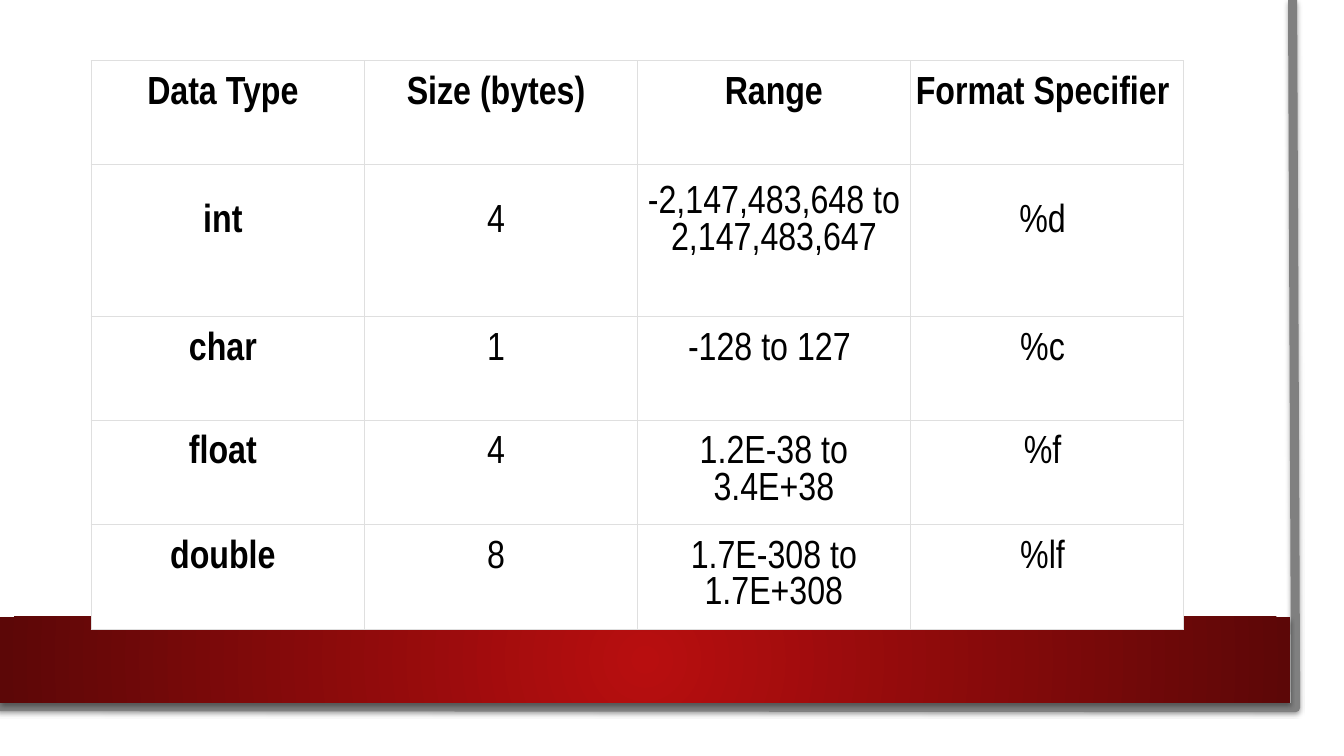
"""Build a slide with a table of C data types above a red footer band."""
from dataclasses import dataclass

from lxml import etree
from pptx import Presentation
from pptx.dml.color import RGBColor
from pptx.enum.shapes import MSO_SHAPE
from pptx.enum.text import MSO_ANCHOR, PP_ALIGN
from pptx.oxml.ns import qn
from pptx.shapes.autoshape import Shape
from pptx.slide import Slide
from pptx.table import _Cell
from pptx.util import Inches, Pt

RECTANGLE = MSO_SHAPE.RECTANGLE
MIDDLE = MSO_ANCHOR.MIDDLE
CENTER = PP_ALIGN.CENTER

BLACK = RGBColor(0x00, 0x00, 0x00)
WHITE = RGBColor(0xFF, 0xFF, 0xFF)
GRAY = RGBColor(0x80, 0x80, 0x80)
RULE_GRAY = RGBColor(0xDF, 0xDF, 0xDF)
RED = RGBColor(0xB8, 0x0E, 0x0F)
DARK_RED = RGBColor(0x5C, 0x07, 0x07)

FONT = "Arial Narrow"
FONT_SIZE = Pt(28)
LINE_HEIGHT = Pt(26)
COLUMN_WIDTH = 2.71
ROW_HEIGHTS = (1.03, 1.51, 1.03, 1.03, 1.04)


@dataclass(frozen=True)
class Entry:
    """Text of a cell, with its vertical and horizontal offsets."""
    text: str
    raised: bool = True
    shifted: bool = True


ROWS = (
    (Entry("Data Type"), Entry("Size (bytes)"), Entry("Range", shifted=False),
     Entry("Format Specifier")),
    (Entry("int"), Entry("4"),
     Entry("-2,147,483,648 to 2,147,483,647", shifted=False), Entry("%d")),
    (Entry("char"), Entry("1"), Entry("-128 to 127"), Entry("%c")),
    (Entry("float"), Entry("4"),
     Entry("1.2E-38 to 3.4E+38", raised=False, shifted=False), Entry("%f")),
    (Entry("double"), Entry("8"),
     Entry("1.7E-308 to 1.7E+308", raised=False, shifted=False), Entry("%lf")),
)


def add_shadow(sp: Shape, alpha: int, distance: float) -> None:
    """Give a shape a soft black shadow that falls downwards."""
    sp.shadow.inherit = False
    effects = sp._element.spPr.find(qn("a:effectLst"))
    shadow = etree.SubElement(effects, qn("a:outerShdw"), blurRad=str(Pt(3.1)),
                              dist=str(Pt(distance)), dir="5400000", rotWithShape="0")
    color = etree.SubElement(shadow, qn("a:srgbClr"), val=str(BLACK))
    etree.SubElement(color, qn("a:alpha"), val=str(alpha * 1000))


def add_edge(s: Slide) -> None:
    """Draw the gray line along the right and bottom edges."""
    builder = s.shapes.build_freeform(Inches(12.82), 0)
    corners = ((12.85, 7.02), (-0.03, 7.01))
    builder.add_line_segments([(Inches(x), Inches(y)) for x, y in corners], close=False)
    sp = builder.convert_to_shape()
    sp.fill.background()
    sp.line.color.rgb = GRAY
    sp.line.width = Pt(6.5)
    add_shadow(sp, 38, 1.6)


def add_band(s: Slide) -> None:
    """Draw the footer band with its radial gradient."""
    sp = s.shapes.add_shape(RECTANGLE, 0, Inches(6.12), Inches(12.8), Inches(0.85))
    sp.line.fill.background()
    sp.fill.gradient()
    for stop, color in zip(sp.fill.gradient_stops, (RED, DARK_RED)):
        stop.color.rgb = color
    grad = sp._element.spPr.find(qn("a:gradFill"))
    grad.remove(grad.find(qn("a:lin")))
    path = etree.SubElement(grad, qn("a:path"), {"path": "circle"})
    sides = dict.fromkeys("ltrb", "50000")
    etree.SubElement(path, qn("a:fillToRect"), sides)
    add_shadow(sp, 35, 1.8)


def add_borders(cell: _Cell) -> None:
    """Rule all four sides of a cell."""
    props = cell._tc.get_or_add_tcPr()
    for i, side in enumerate(("lnL", "lnR", "lnT", "lnB")):
        ln = etree.Element(qn(f"a:{side}"), w=str(Pt(0.23)))
        fill = etree.SubElement(ln, qn("a:solidFill"))
        etree.SubElement(fill, qn("a:srgbClr"), val=str(RULE_GRAY))
        props.insert(i, ln)


def fill_cell(cell: _Cell, entry: Entry, bold: bool) -> None:
    """Write and format one table cell."""
    cell.fill.solid()
    cell.fill.fore_color.rgb = WHITE
    cell.vertical_anchor = MIDDLE
    cell.margin_left = Inches(0 if entry.shifted else 0.04)
    cell.margin_right = Inches(0.09 if entry.shifted else 0.04)
    cell.margin_top = Inches(0.05)
    cell.margin_bottom = Inches(0.05) + (LINE_HEIGHT if entry.raised else 0)
    add_borders(cell)
    p = cell.text_frame.paragraphs[0]
    p.text = entry.text
    p.alignment = CENTER
    p.line_spacing = LINE_HEIGHT
    for r in p.runs:
        r.font.name = FONT
        r.font.size = FONT_SIZE
        r.font.bold = bold
        r.font.color.rgb = BLACK


def add_type_table(s: Slide) -> None:
    """Add the table of data types."""
    columns = len(ROWS[0])
    table = s.shapes.add_table(len(ROWS), columns, Inches(0.9), Inches(0.6),
                               Inches(columns * COLUMN_WIDTH),
                               Inches(sum(ROW_HEIGHTS))).table
    table.first_row = False
    table.horz_banding = False
    for column in table.columns:
        column.width = Inches(COLUMN_WIDTH)
    for i, (height, entries) in enumerate(zip(ROW_HEIGHTS, ROWS)):
        table.rows[i].height = Inches(height)
        for j, entry in enumerate(entries):
            fill_cell(table.cell(i, j), entry, bold=i == 0 or j == 0)


def main() -> None:
    """Create and save the presentation."""
    prs = Presentation()
    prs.slide_width = Inches(13.33)
    prs.slide_height = Inches(7.5)
    s = prs.slides.add_slide(prs.slide_layouts[6])
    s.background.fill.solid()
    s.background.fill.fore_color.rgb = WHITE
    add_edge(s)
    add_band(s)
    add_type_table(s)
    prs.save("out.pptx")


if __name__ == "__main__":
    main()
